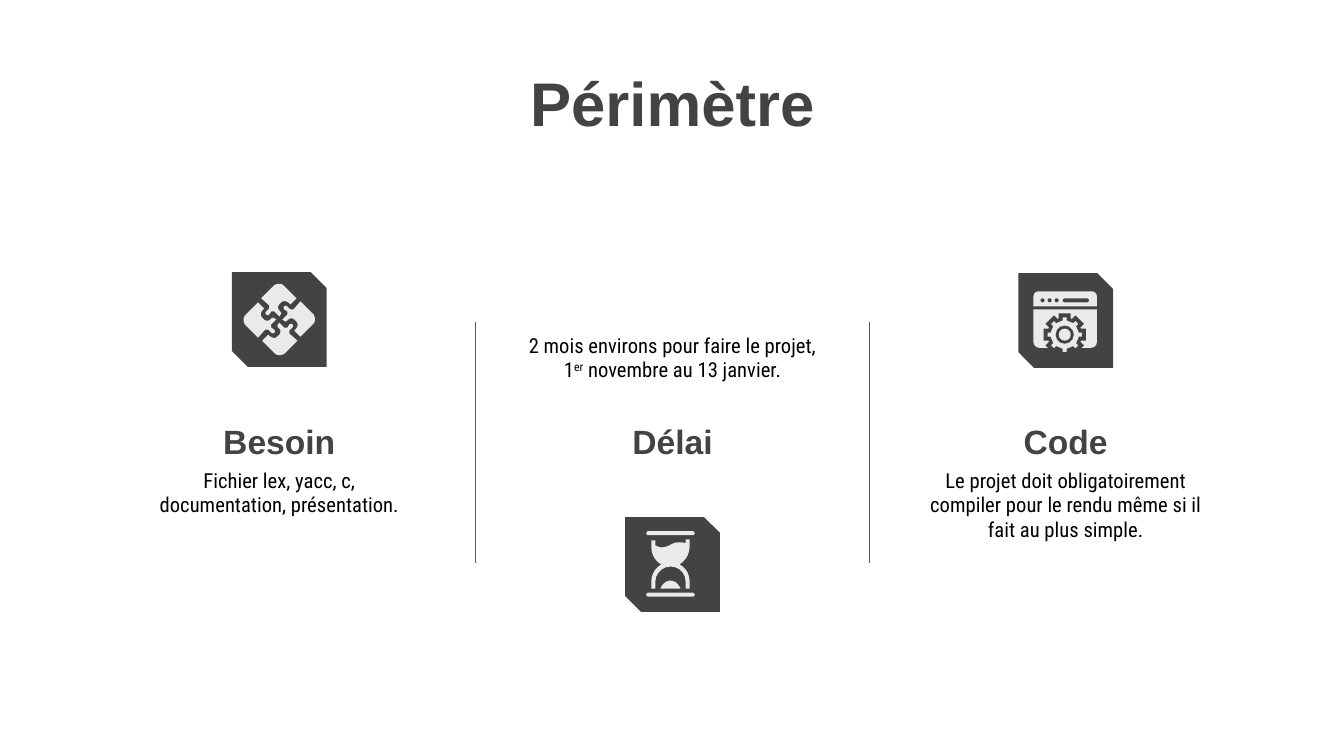
import math

import lxml.etree
import pptx
import pptx.dml.color
import pptx.enum.shapes
import pptx.enum.text
import pptx.oxml.ns
import pptx.util

Inches = pptx.util.Inches
PRESET = pptx.enum.shapes.MSO_SHAPE
ANCHOR = pptx.enum.text.MSO_ANCHOR


def color(value):
    return pptx.dml.color.RGBColor.from_string(value)


def flatten(path, steps=5):
    points = []
    for item in path:
        if len(item) == 2:
            points.append(item)
            continue
        start = points[-1]
        controls = [start, item[0:2], item[2:4], item[4:6]]
        for step in range(1, steps + 1):
            t = step / steps
            weights = [math.comb(3, i) * t ** i * (1 - t) ** (3 - i) for i in range(4)]
            points.append(tuple(sum(w * c[axis] for w, c in zip(weights, controls))
                                for axis in (0, 1)))
    return points


def rotate(points, center, degrees):
    cx, cy = center
    cos, sin = math.cos(math.radians(degrees)), math.sin(math.radians(degrees))
    return [(cx + (x - cx) * cos - (y - cy) * sin, cy + (x - cx) * sin + (y - cy) * cos)
            for x, y in points]


class SlideBuilder:
    dark = "434343"
    light = "EAEAEA"
    rule = "595959"
    heading_font = "Arial"
    body_font = "Roboto Condensed"
    inset = 0.13

    def __init__(self, page):
        self.page = page

    def text(self, left, top, width, height, spans, size, heading=False, anchor=ANCHOR.TOP):
        box = self.page.shapes.add_textbox(Inches(left), Inches(top), Inches(width), Inches(height))
        frame = box.text_frame
        frame.word_wrap = True
        frame.vertical_anchor = anchor
        frame.margin_left = frame.margin_right = Inches(self.inset)
        frame.margin_top = frame.margin_bottom = Inches(self.inset)
        para = frame.paragraphs[0]
        para.alignment = pptx.enum.text.PP_ALIGN.CENTER
        for words, raised in spans:
            span = para.add_run()
            span.text = words
            span.font.size = pptx.util.Pt(size)
            span.font.name = self.heading_font if heading else self.body_font
            span.font.bold = heading
            span.font.color.rgb = color(self.dark if heading else "000000")
            if raised:
                span.font._element.set("baseline", "30000")

    def paint(self, shape, fill):
        shape.shadow.inherit = False
        shape.fill.solid()
        shape.fill.fore_color.rgb = color(fill)
        shape.line.fill.background()

    def preset(self, kind, left, top, width, height, fill, adjustments=()):
        shape = self.page.shapes.add_shape(
            kind, Inches(left), Inches(top), Inches(width), Inches(height))
        for index, value in enumerate(adjustments):
            shape.adjustments[index] = value
        self.paint(shape, fill)

    def outline(self, points, fill):
        scaled = [(Inches(x), Inches(y)) for x, y in points]
        builder = self.page.shapes.build_freeform(*scaled[0], scale=1.0)
        builder.add_line_segments(scaled[1:], close=True)
        self.paint(builder.convert_to_shape(), fill)

    def divider(self, x, top, bottom):
        line = self.page.shapes.add_connector(
            pptx.enum.shapes.MSO_CONNECTOR.STRAIGHT,
            Inches(x), Inches(top), Inches(x), Inches(bottom))
        line.line.color.rgb = color(self.rule)
        line.line.width = pptx.util.Pt(0.75)
        lxml.etree.SubElement(line._element.spPr, pptx.oxml.ns.qn("a:effectLst"))

    def gear(self, center, tip, root, half, fill):
        cx, cy = center
        tooth = [(cx - half, cy - root), (cx - half, cy - tip),
                 (cx + half, cy - tip), (cx + half, cy - root)]
        points = []
        for index in range(8):
            points += rotate(tooth, center, 45 * index)
        self.outline(points, fill)

    def puzzle_icon(self):
        piece = flatten([
            (2.56, 3), (2.43, 3.13), (2.41, 3.15, 2.41, 3.19, 2.43, 3.22), (2.56, 3.35),
            (2.63, 3.27), (2.64, 3.27, 2.65, 3.27, 2.66, 3.27), (2.69, 3.3),
            (2.7, 3.31, 2.71, 3.31, 2.72, 3.3), (2.73, 3.3, 2.73, 3.28, 2.72, 3.27),
            (2.69, 3.25), (2.69, 3.24, 2.69, 3.22, 2.69, 3.22), (2.74, 3.17), (2.71, 3.15),
            (2.69, 3.16), (2.67, 3.19, 2.63, 3.19, 2.61, 3.16),
            (2.58, 3.14, 2.58, 3.1, 2.61, 3.07), (2.62, 3.06)])
        for quarter in range(4):
            self.outline(rotate(piece, (2.77, 3.17), 90 * quarter), self.light)

    def window_icon(self):
        hub = (10.56, 3.32)
        self.preset(PRESET.ROUND_2_SAME_RECTANGLE, 10.25, 2.89, 0.63, 0.15, self.light, (0.33, 0))
        for index in range(3):
            self.preset(PRESET.OVAL, 10.32 + 0.07 * index, 2.96, 0.04, 0.04, self.dark)
        self.preset(PRESET.ROUNDED_RECTANGLE, 10.54, 2.96, 0.26, 0.04, self.dark, (0.5,))
        self.preset(PRESET.ROUND_2_SAME_RECTANGLE, 10.25, 3.07, 0.63, 0.38, self.light, (0, 0.15))
        self.gear(hub, 0.21, 0.16, 0.06, self.dark)
        self.gear(hub, 0.17, 0.14, 0.02, self.light)
        for radius, fill in ((0.09, self.dark), (0.06, self.light)):
            self.preset(PRESET.OVAL, hub[0] - radius, hub[1] - radius,
                        2 * radius, 2 * radius, fill)

    def hourglass_icon(self):
        for top in (5.27, 5.88):
            self.preset(PRESET.ROUNDED_RECTANGLE, 6.41, top, 0.48, 0.04, self.light, (0.5,))
        glass = [
            (6.8, 5.35), (6.8, 5.39), (6.78, 5.38, 6.76, 5.38, 6.74, 5.38),
            (6.7, 5.38, 6.67, 5.39, 6.64, 5.41), (6.62, 5.42, 6.59, 5.43, 6.56, 5.43),
            (6.54, 5.43, 6.52, 5.42, 6.5, 5.41), (6.5, 5.36), (6.46, 5.36), (6.46, 5.43),
            (6.46, 5.5, 6.5, 5.57, 6.56, 5.6), (6.5, 5.63, 6.46, 5.7, 6.46, 5.77),
            (6.46, 5.84), (6.5, 5.84), (6.5, 5.77), (6.5, 5.69, 6.57, 5.62, 6.65, 5.62),
            (6.74, 5.62, 6.8, 5.69, 6.8, 5.77), (6.8, 5.84), (6.84, 5.84), (6.84, 5.77),
            (6.84, 5.69, 6.8, 5.63, 6.74, 5.6), (6.8, 5.56, 6.84, 5.5, 6.84, 5.42),
            (6.84, 5.35)]
        sand = [(6.55, 5.84), (6.57, 5.79, 6.61, 5.76, 6.65, 5.76),
                (6.69, 5.76, 6.73, 5.79, 6.75, 5.84)]
        for path in (glass, sand):
            self.outline(flatten(path), self.light)


def main():
    deck = pptx.Presentation()
    deck.slide_width, deck.slide_height = Inches(13.33), Inches(7.5)
    page = deck.slides.add_slide(deck.slide_layouts[6])
    slide = SlideBuilder(page)

    slide.text(2.87, 0.51, 7.6, 1.38, [("Périmètre", False)], 44, heading=True)

    column_left, column_width, badge = 0.82, 3.9, 0.94
    columns = [
        ("Besoin", [("Fichier lex, yacc, c, documentation, présentation.", False)],
         2.99, 4.51, 2.7, slide.puzzle_icon),
        ("Délai", [("2 mois environs pour faire le projet, 1", False), ("er", True),
                   (" novembre au 13 janvier.", False)],
         3.23, 3.17, 5.13, slide.hourglass_icon),
        ("Code", [("Le projet doit obligatoirement compiler pour le rendu même si il "
                   "fait au plus simple.", False)],
         3.23, 4.51, 2.71, slide.window_icon),
    ]
    for index, (name, spans, width, text_top, badge_top, draw_icon) in enumerate(columns):
        left = column_left + index * column_width
        middle = left + column_width / 2
        slide.text(left, 4.09, column_width, 0.62, [(name, False)], 24,
                   heading=True, anchor=ANCHOR.BOTTOM)
        slide.text(middle - width / 2, text_top, width, 1.46, spans, 14.7)
        slide.preset(PRESET.SNIP_2_DIAG_RECTANGLE, middle - badge / 2, badge_top,
                     badge, badge, slide.dark, (0, 0.167))
        draw_icon()
        if index:
            slide.divider(left, 3.19, 5.59)

    deck.save("out.pptx")


if __name__ == "__main__":
    main()
